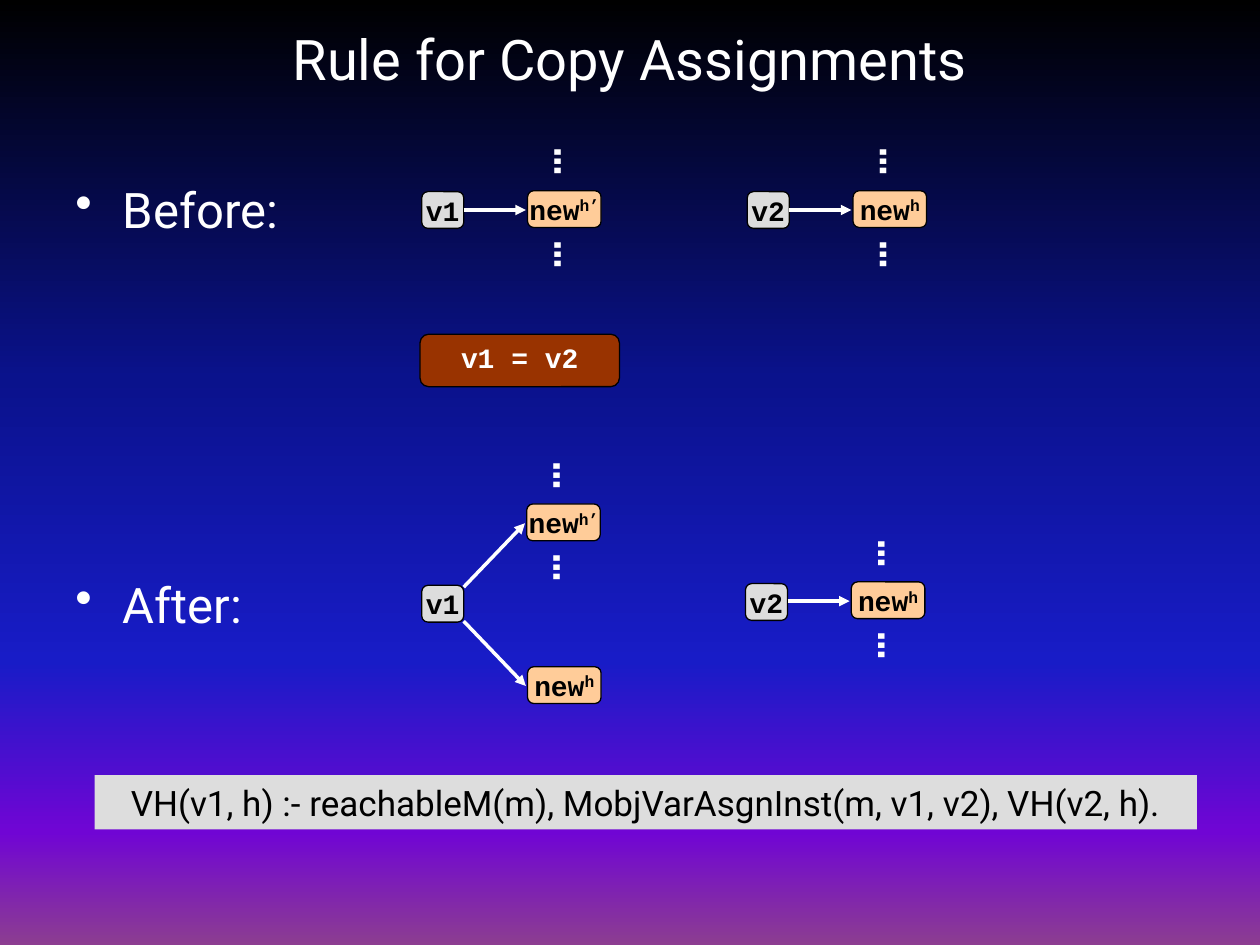
"""Build a slide showing the points-to rule for copy assignments."""
from lxml import etree
from pptx import Presentation
from pptx.dml.color import RGBColor
from pptx.enum.shapes import MSO_CONNECTOR, MSO_SHAPE
from pptx.enum.text import MSO_ANCHOR, PP_ALIGN
from pptx.oxml.ns import qn
from pptx.util import Pt

RECT, ROUNDED = MSO_SHAPE.RECTANGLE, MSO_SHAPE.ROUNDED_RECTANGLE
STRAIGHT = MSO_CONNECTOR.STRAIGHT
LEFT, CENTER = PP_ALIGN.LEFT, PP_ALIGN.CENTER
TOP, MIDDLE = MSO_ANCHOR.TOP, MSO_ANCHOR.MIDDLE
SANS, MONO = "Roboto", "Courier New"

COLORS = {"white": "FFFFFF", "black": "000000", "variable": "DDDDDD",
          "heap": "FFCC99", "statement": "993300", "rule": "DDDDDD"}
BACKGROUND = [(0, "000000"), (40, "0A128C"), (70, "181CC7"),
              (88, "7005D4"), (100, "8C3D91")]

TITLE = "Rule for Copy Assignments"
STAGES = ["Before:", "After:"]
STATEMENT = "v1 = v2"
RULE = "VH(v1, h) :- reachableM(m), MobjVarAsgnInst(m, v1, v2), VH(v2, h)."
VARIABLES = [
    {"name": "v1", "at": (241, 109.5),
     "targets": [{"site": "h’", "at": (301.5, 109), "start": 10.5, "more": True}]},
    {"name": "v2", "at": (427, 109.5),
     "targets": [{"site": "h", "at": (487.5, 109), "start": 10.5, "more": True}]},
    {"name": "v1", "at": (241, 334.5),
     "targets": [{"site": "h’", "at": (301, 288), "start": 1, "more": True},
                 {"site": "h", "at": (301.5, 381), "start": 20.5, "more": False}]},
    {"name": "v2", "at": (426, 333.5),
     "targets": [{"site": "h", "at": (486.5, 332.5), "start": 10, "more": True}]},
]
VARIABLE_W, HEAP_W, NODE_H = 24, 42, 21
DOTS_W, DOTS_H, DOTS_X, DOTS_YS = 36, 37.5, 25, (-13, 40)


def rgb(name):
    return RGBColor.from_string(COLORS[name])


def add_text(slide, text, x, y, w, h, *, shape=None, fill=None, line=None,
             font=MONO, size=16, color="black", bold=False, align=CENTER,
             anchor=MIDDLE, wrap=True, superscript="", rotation=0,
             spacing=None, bullet=False, gap=0):
    area = [Pt(v) for v in (x, y, w, h)]
    if shape is None:
        box = slide.shapes.add_textbox(*area)
    else:
        box = slide.shapes.add_shape(shape, *area)
        box.shadow.inherit = False
        box.fill.solid()
        box.fill.fore_color.rgb = rgb(fill)
        if line:
            box.line.color.rgb = rgb(line)
            box.line.width = Pt(0.75)
        else:
            box.line.fill.background()
    box.rotation = rotation
    frame = box.text_frame
    frame.word_wrap = wrap
    frame.vertical_anchor = anchor
    for index, content in enumerate([text] if isinstance(text, str) else text):
        paragraph = frame.add_paragraph() if index else frame.paragraphs[0]
        paragraph.alignment = align
        paragraph.line_spacing = spacing
        if index:
            paragraph.space_before = Pt(gap)
        if bullet:
            props = paragraph._p.get_or_add_pPr()
            props.set("marL", str(Pt(27)))
            props.set("indent", str(-Pt(27)))
            etree.SubElement(props, qn("a:buChar")).set("char", "•")
        for part, baseline in ((content, None), (superscript, "30000")):
            if not part:
                continue
            run = paragraph.add_run()
            run.text = part
            run.font.name, run.font.size, run.font.bold = font, Pt(size), bold
            run.font.color.rgb = rgb(color)
            if baseline:
                run.font._element.set("baseline", baseline)


def add_arrow(slide, *ends):
    arrow = slide.shapes.add_connector(STRAIGHT, *[Pt(v) for v in ends])
    arrow.line.color.rgb = rgb("white")
    arrow.line.width = Pt(2)
    etree.SubElement(arrow.line._get_or_add_ln(), qn("a:tailEnd")).set("type", "triangle")
    etree.SubElement(arrow._element.spPr, qn("a:effectLst"))


def paint_background(slide):
    fill = slide.background.fill
    fill.gradient()
    fill.gradient_angle = 270
    stops = slide._element.find(".//" + qn("a:gsLst"))
    for stop in list(stops):
        stops.remove(stop)
    for percent, color in BACKGROUND:
        stop = etree.SubElement(stops, qn("a:gs"), pos=str(percent * 1000))
        etree.SubElement(stop, qn("a:srgbClr"), val=color)


def add_variable(slide, variable):
    x, y = variable["at"]
    add_text(slide, variable["name"], x, y, VARIABLE_W, NODE_H, shape=ROUNDED,
             fill="variable", line="black", bold=True, wrap=False)
    for target in variable["targets"]:
        heap_x, heap_y = target["at"]
        add_text(slide, "new", heap_x, heap_y, HEAP_W, NODE_H, shape=ROUNDED,
                 fill="heap", line="black", bold=True, wrap=False,
                 superscript=target["site"])
        add_arrow(slide, x + VARIABLE_W, y + target["start"],
                  heap_x - 1, heap_y + 11)
        for offset in DOTS_YS if target["more"] else ():
            add_text(slide, "…", heap_x + DOTS_X - DOTS_W / 2,
                     heap_y + offset - DOTS_H / 2, DOTS_W, DOTS_H, size=25,
                     color="white", bold=True, align=LEFT, anchor=TOP, rotation=90)


def main():
    deck = Presentation()
    deck.slide_width, deck.slide_height = Pt(720), Pt(540)
    slide = deck.slides.add_slide(deck.slide_layouts[6])
    paint_background(slide)
    add_text(slide, TITLE, 0, 6, 720, 54, font=SANS, size=32, color="white")
    add_text(slide, STAGES, 36, 99, 190, 266, font=SANS, size=28, color="white",
             align=LEFT, anchor=TOP, bullet=True, gap=192)
    add_text(slide, STATEMENT, 240, 191, 114, 30, shape=ROUNDED, fill="statement",
             line="black", color="white", bold=True, wrap=False, spacing=0.8)
    for variable in VARIABLES:
        add_variable(slide, variable)
    add_text(slide, RULE, 54, 443, 630, 31, shape=RECT, fill="rule",
             font=SANS, size=20)
    deck.save("out.pptx")


if __name__ == "__main__":
    main()
